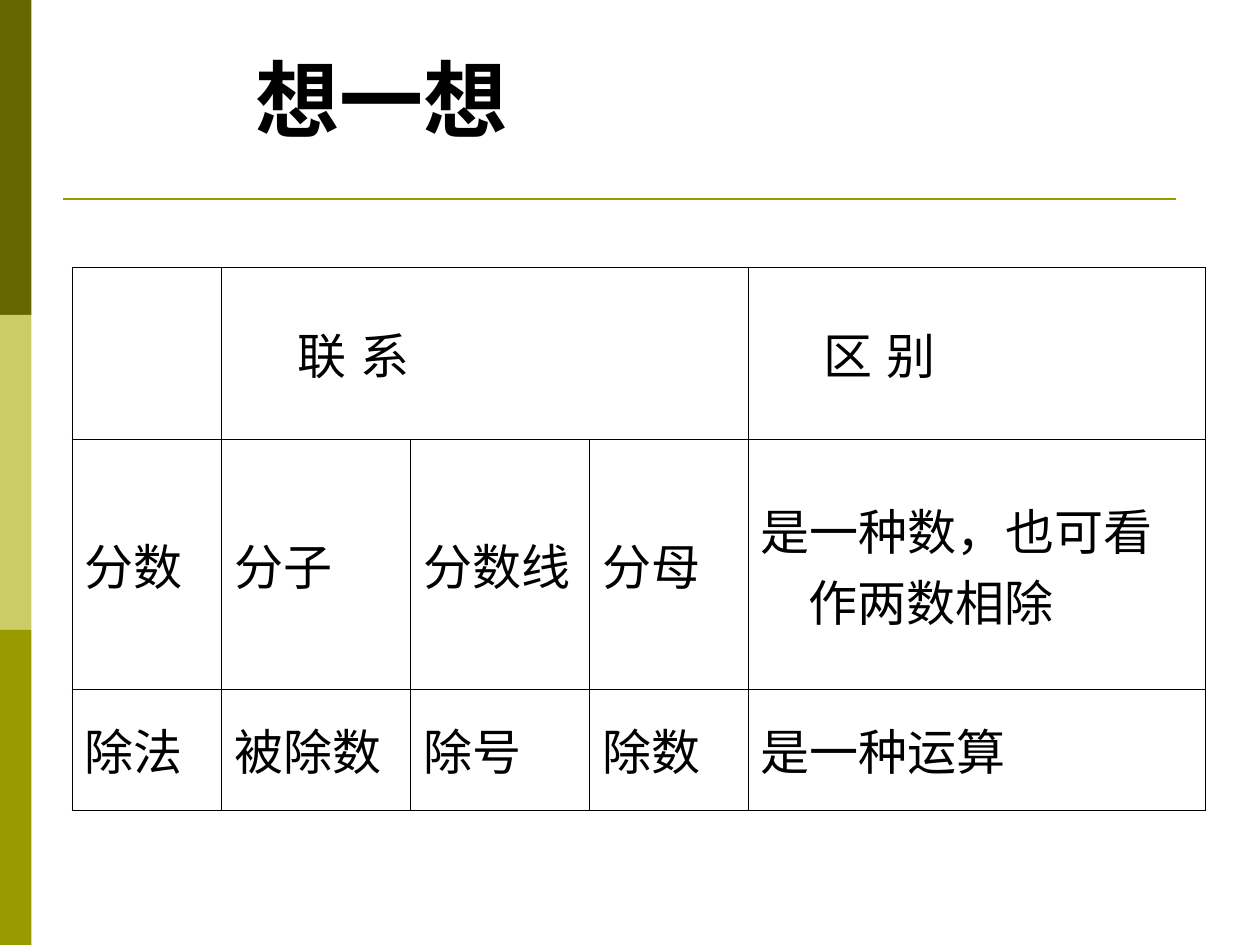
from lxml.etree import SubElement
from pptx import Presentation
from pptx.dml.color import RGBColor
from pptx.enum.shapes import MSO_CONNECTOR, MSO_SHAPE
from pptx.enum.text import MSO_ANCHOR, MSO_AUTO_SIZE, PP_ALIGN
from pptx.oxml.ns import qn
from pptx.util import Inches, Pt

TITLE = "想一想"
ROWS = [
    ["", "\t联\t系", "", "", "\t区\t别"],
    ["分数", "分子", "分数线", "分母", "是一种数，也可看作两数相除"],
    ["除法", "被除数", "除号", "除数", "是一种运算"],
]
HEADER_TABS = {1: (0.6, 2.05), 4: (0.6, 2.31)}
COL_WIDTHS = [1.19, 1.5, 1.42, 1.26, 3.63]
ROW_HEIGHTS = [1.37, 1.98, 0.96]
HANGING = 0.38
COLORS = {"text": "000000", "dark": "666600", "light": "CCCC66", "olive": "999900"}
WIDTH, HEIGHT = 10, 7.5


def color(name):
    return RGBColor.from_string(COLORS[name])


def write(paragraph, text, font_name, size, bold=False):
    run = paragraph.add_run()
    run.text = text
    font = run.font
    font.name, font.size, font.bold = font_name, Pt(size), bold
    font.color.rgb = color("text")


def set_indent(paragraph, left, first, tabs=()):
    """Set left margin, first-line indent and tab stops in inches."""
    props = paragraph._p.get_or_add_pPr()
    props.set("marL", str(Inches(left)))
    props.set("indent", str(Inches(first)))
    if tabs:
        stops = SubElement(props, qn("a:tabLst"))
        for stop in tabs:
            SubElement(stops, qn("a:tab"), pos=str(Inches(stop)), algn="l")


def set_borders(cell):
    props = cell._tc.get_or_add_tcPr()
    for position, side in enumerate(("lnL", "lnR", "lnT", "lnB")):
        line = SubElement(props, qn(f"a:{side}"), w=str(Pt(0.34)))
        fill = SubElement(line, qn("a:solidFill"))
        SubElement(fill, qn("a:srgbClr"), val=COLORS["text"])
        props.insert(position, line)


def add_side_bands(slide):
    names = ("dark", "light", "olive")
    band_height = HEIGHT / len(names)
    for i, name in enumerate(names):
        band = slide.shapes.add_shape(
            MSO_SHAPE.RECTANGLE, 0, Inches(i * band_height),
            Inches(WIDTH / 40), Inches(band_height))
        band.shadow.inherit = False
        band.fill.solid()
        band.fill.fore_color.rgb = color(name)
        band.line.fill.background()


def add_title_rule(slide):
    y = Inches(1.58)
    rule = slide.shapes.add_connector(
        MSO_CONNECTOR.STRAIGHT, Inches(0.5), y, Inches(9.33), y)
    rule.line.color.rgb = color("olive")
    rule.line.width = Pt(1.5)
    SubElement(rule._element.spPr, qn("a:effectLst"))


def add_comparison(slide):
    table = slide.shapes.add_table(
        len(ROWS), len(COL_WIDTHS), Inches(0.57), Inches(2.12),
        Inches(sum(COL_WIDTHS)), Inches(sum(ROW_HEIGHTS))).table
    table.first_row = table.horz_banding = False
    for column, width in zip(table.columns, COL_WIDTHS):
        column.width = Inches(width)
    for row, height in zip(table.rows, ROW_HEIGHTS):
        row.height = Inches(height)
    table.cell(0, 1).merge(table.cell(0, 3))

    for r, texts in enumerate(ROWS):
        for c, text in enumerate(texts):
            cell = table.cell(r, c)
            cell.fill.background()
            set_borders(cell)
            cell.vertical_anchor = MSO_ANCHOR.MIDDLE
            if not text:
                continue
            paragraph = cell.text_frame.paragraphs[0]
            if r == 0:
                set_indent(paragraph, 0, 0, HEADER_TABS[c])
            else:
                set_indent(paragraph, HANGING, -HANGING)
            write(paragraph, text, "Times New Roman", 28)


def add_title(slide):
    title = slide.shapes.title
    title.left, title.top = Inches(1.93), Inches(0.33)
    title.width, title.height = Inches(2.6), Inches(0.9)
    frame = title.text_frame
    frame.word_wrap = True
    frame.auto_size = MSO_AUTO_SIZE.SHAPE_TO_FIT_TEXT
    frame.vertical_anchor = MSO_ANCHOR.TOP
    paragraph = frame.paragraphs[0]
    paragraph.alignment = PP_ALIGN.LEFT
    write(paragraph, TITLE, "DejaVu Sans", 48, bold=True)


def main():
    prs = Presentation()
    prs.slide_width, prs.slide_height = Inches(WIDTH), Inches(HEIGHT)
    slide = prs.slides.add_slide(prs.slide_layouts[5])
    add_side_bands(slide)
    add_title_rule(slide)
    add_comparison(slide)
    add_title(slide)
    prs.save("out.pptx")


if __name__ == "__main__":
    main()
